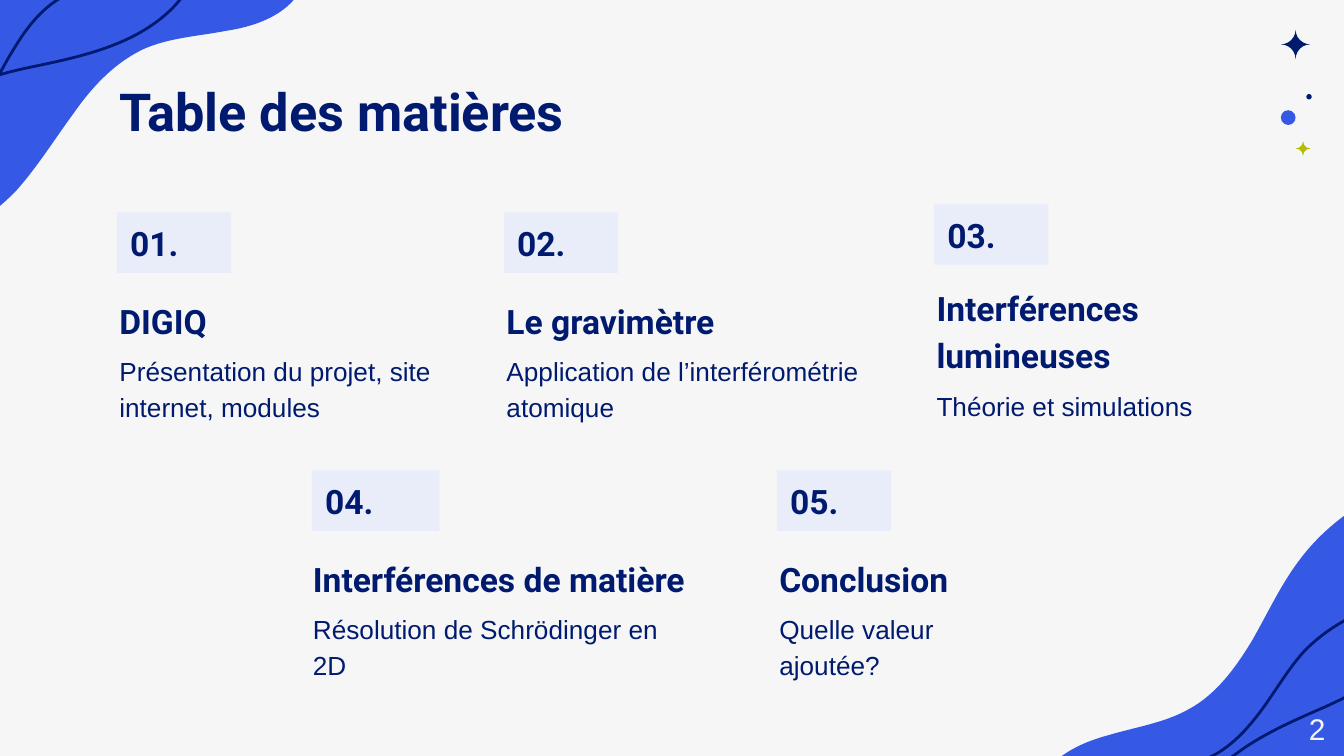
from pptx import Presentation
from pptx.dml.color import RGBColor
from pptx.enum.shapes import MSO_SHAPE
from pptx.enum.text import MSO_ANCHOR, PP_ALIGN
from pptx.oxml.xmlchemy import OxmlElement
from pptx.util import Emu, Pt

SCALE = 9144  # EMU per px: 100 px to the inch
BACKGROUND = RGBColor(0xF6, 0xF6, 0xF6)
BLUE = RGBColor(0x35, 0x59, 0xE5)
NAVY = RGBColor(0x00, 0x1A, 0x70)
LIME = RGBColor(0xB5, 0xBD, 0x00)
PALE = RGBColor(0xDF, 0xE5, 0xFD)
RECTANGLE, ELLIPSE, PLAQUE = MSO_SHAPE.RECTANGLE, MSO_SHAPE.OVAL, MSO_SHAPE.PLAQUE
TOP, BOTTOM = MSO_ANCHOR.TOP, MSO_ANCHOR.BOTTOM
LEFT, RIGHT = PP_ALIGN.LEFT, PP_ALIGN.RIGHT

# Closed curves: a start point, then two control points and an end point each
TOP_BLOB = [
    -96, 192, -55, 190, -16, 171, 12, 142, 28, 124, 41, 103, 55, 84,
    69, 64, 86, 46, 108, 36, 127, 28, 147, 27, 168, 23,
    188, 20, 209, 13, 221, -3, 234, -20, 236, -44, 227, -64,
    219, -83, 202, -98, 184, -108, 165, -118, 144, -123, 123, -126,
    76, -135, 27, -137, -20, -127, -67, -118, -112, -97, -146, -64,
    -180, -31, -201, 12, -210, 58, -214, 82, -214, 105, -212, 129,
    -211, 137, -211, 150, -207, 157, -202, 165, -186, 171, -178, 176,
    -153, 188, -124, 194, -96, 192]
TOP_OUTER_LINE = [
    -96, 130, -66, 126, -38, 109, -19, 84, -7, 70, 0, 53, 10, 37,
    19, 22, 30, 7, 46, -2, 60, -10, 76, -12, 90, -17,
    105, -21, 121, -27, 129, -40, 138, -54, 137, -72, 129, -86,
    122, -101, 108, -111, 93, -117, 78, -123, 62, -125, 46, -126,
    10, -129, -27, -127, -62, -117, -97, -106, -129, -87, -153, -60,
    -176, -33, -189, 2, -192, 37, -193, 55, -192, 73, -189, 91,
    -187, 97, -187, 106, -183, 111, -178, 117, -166, 121, -160, 124,
    -140, 131, -118, 134, -96, 130]
TOP_INNER_LINE = [
    -45, 77, -25, 62, -1, 55, 23, 50, 47, 45, 71, 40, 93, 30,
    115, 20, 136, 4, 145, -19, 154, -42, 148, -71, 127, -84,
    115, -92, 100, -94, 86, -94, 45, -95, 3, -88, -34, -71,
    -70, -53, -102, -23, -119, 14, -135, 52, -134, 97, -112, 132,
    -107, 141, -98, 150, -87, 146, -79, 143, -80, 136, -79, 129,
    -76, 107, -63, 89, -45, 77]
BOTTOM_BLOB = [
    1072, 353, 1032, 360, 994, 382, 969, 414, 954, 433, 944, 455, 932, 476,
    920, 496, 905, 517, 884, 528, 866, 538, 845, 541, 825, 547,
    806, 552, 786, 561, 774, 579, 763, 596, 764, 620, 774, 639,
    784, 658, 802, 671, 822, 679, 842, 687, 863, 690, 884, 692,
    932, 695, 980, 693, 1026, 679, 1072, 665, 1115, 640, 1146, 604,
    1177, 568, 1194, 522, 1197, 476, 1199, 453, 1198, 429, 1193, 406,
    1191, 398, 1190, 385, 1185, 378, 1179, 371, 1164, 366, 1155, 362,
    1129, 352, 1100, 349, 1072, 353]
BOTTOM_OUTER_LINE = [
    1053, 446, 1023, 448, 993, 462, 971, 484, 959, 497, 950, 513, 939, 528,
    928, 543, 915, 557, 899, 564, 884, 571, 869, 571, 853, 574,
    838, 577, 822, 582, 813, 594, 803, 607, 802, 625, 808, 640,
    814, 655, 827, 666, 841, 674, 855, 681, 871, 685, 887, 688,
    923, 694, 960, 696, 995, 689, 1031, 682, 1065, 666, 1091, 640,
    1117, 616, 1133, 582, 1139, 547, 1143, 530, 1143, 512, 1141, 494,
    1141, 488, 1141, 478, 1137, 473, 1134, 467, 1122, 462, 1116, 459,
    1096, 449, 1075, 444, 1053, 446]
BOTTOM_INNER_LINE = [
    1046, 486, 1030, 504, 1008, 516, 986, 526, 963, 536, 940, 546, 921, 560,
    901, 574, 884, 595, 880, 619, 876, 643, 888, 670, 911, 679,
    924, 684, 939, 683, 954, 680, 994, 673, 1033, 658, 1066, 633,
    1098, 608, 1123, 572, 1131, 532, 1139, 492, 1129, 448, 1101, 418,
    1094, 411, 1083, 403, 1073, 410, 1066, 415, 1068, 421, 1069, 428,
    1070, 450, 1061, 470, 1046, 486]

# Each chapter: three texts, then the boxes (left, top, width, height)
# of its number, heading and description
CHAPTERS = [
    ("01.", "DIGIQ", "Présentation du projet, site internet, modules",
     (87, 158, 85, 45), (79, 211, 266, 53), (79, 251, 266, 63)),
    ("02.", "Le gravimètre", "Application de l’interférométrie atomique",
     (375, 158, 85, 45), (367, 211, 266, 53), (367, 251, 312, 63)),
    ("03.", "Interférences lumineuses", "Théorie et simulations",
     (695, 152, 85, 45), (687, 203, 266, 86), (687, 277, 266, 63)),
    ("04.", "Interférences de matière", "Résolution de Schrödinger en 2D",
     (232, 350, 95, 45), (223, 403, 299, 53), (223, 443, 299, 63)),
    ("05.", "Conclusion", "Quelle valeur ajoutée?",
     (578, 350, 85, 45), (570, 403, 266, 53), (570, 443, 185, 63)),
]


def px(length):
    return Emu(round(length * SCALE))


def write_text(shape, text, size=14, font="Arial", color=NAVY, bold=False,
               align=LEFT, anchor=TOP, spacing=None, insets=(10, 10, 10, 10)):
    frame = shape.text_frame
    frame.word_wrap = True
    frame.vertical_anchor = anchor
    (frame.margin_left, frame.margin_top,
     frame.margin_right, frame.margin_bottom) = map(px, insets)
    paragraph = frame.paragraphs[0]
    paragraph.alignment = align
    if spacing:
        paragraph.line_spacing = spacing
    run = paragraph.add_run()
    run.text = text
    run.font.size, run.font.name, run.font.bold = Pt(size), font, bold
    run.font.color.rgb = color


class SlideBuilder:
    def __init__(self, slide):
        self.slide = slide
        slide.background.fill.solid()
        slide.background.fill.fore_color.rgb = BACKGROUND

    def curve(self, numbers, fill=None, line=None):
        points = list(zip(numbers[::2], numbers[1::2]))
        ends = points[::3]
        builder = self.slide.shapes.build_freeform(*ends[0], scale=SCALE)
        builder.add_line_segments(ends[1:], close=True)
        shape = builder.convert_to_shape()
        left, top = (min(values) for values in zip(*ends))
        # Bend each straight segment into a cubic curve
        segments = shape._element.findall(".//{*}lnTo")
        for index, segment in enumerate(segments[:len(ends) - 1]):
            bend = OxmlElement("a:cubicBezTo")
            for x, y in points[3 * index + 1:3 * index + 4]:
                point = OxmlElement("a:pt")
                point.set("x", str(x - left))
                point.set("y", str(y - top))
                bend.append(point)
            segment.getparent().replace(segment, bend)
        self.paint(shape, fill, line)

    def shape(self, kind, left, top, width, height, fill, opacity=None):
        shape = self.slide.shapes.add_shape(kind, px(left), px(top), px(width), px(height))
        self.paint(shape, fill)
        if kind == PLAQUE:
            shape.adjustments[0] = 0.5
        if opacity:
            alpha = OxmlElement("a:alpha")
            alpha.set("val", str(opacity * 1000))
            shape._element.spPr.find(".//{*}srgbClr").append(alpha)
        return shape

    def paint(self, shape, fill=None, line=None):
        shape.shadow.inherit = False
        if fill is None:
            shape.fill.background()
        else:
            shape.fill.solid()
            shape.fill.fore_color.rgb = fill
        if line is None:
            shape.line.fill.background()
        else:
            shape.line.color.rgb = line
            shape.line.width = Pt(1.5)

    def text(self, text, left, top, width, height, **style):
        box = self.slide.shapes.add_textbox(px(left), px(top), px(width), px(height))
        write_text(box, text, **style)

    def chapter(self, number, heading, description, badge_box, heading_box, description_box):
        label = dict(size=18, font="Roboto", bold=True, anchor=BOTTOM)
        badge = self.shape(RECTANGLE, *badge_box, PALE, opacity=56)
        write_text(badge, number, insets=(10, 0, 10, 7), **label)
        self.text(heading, *heading_box, spacing=1.15, **label)
        self.text(description, *description_box, spacing=1.15)


def main():
    presentation = Presentation()
    presentation.slide_width, presentation.slide_height = px(1000), px(562.5)
    builder = SlideBuilder(presentation.slides.add_slide(presentation.slide_layouts[6]))

    # Corner waves
    for blob, *lines in ((TOP_BLOB, TOP_OUTER_LINE, TOP_INNER_LINE),
                         (BOTTOM_BLOB, BOTTOM_OUTER_LINE, BOTTOM_INNER_LINE)):
        builder.curve(blob, fill=BLUE)
        for line in lines:
            builder.curve(line, line=NAVY)

    # Stars and dots
    for kind, left, top, size, color in (
            (PLAQUE, 964, 105, 11, LIME), (ELLIPSE, 953, 82, 11, BLUE),
            (ELLIPSE, 972, 70, 4, NAVY), (PLAQUE, 953, 22, 22, NAVY)):
        builder.shape(kind, left, top, size, size, color)

    # Title, chapters and page number
    builder.text("Table des matières", 79, 49, 843, 63, size=28, font="Roboto", bold=True)
    for chapter in CHAPTERS:
        builder.chapter(*chapter)
    builder.text("2", 936, 519, 60, 43, size=16, color=BACKGROUND, align=RIGHT)

    presentation.save("out.pptx")


if __name__ == "__main__":
    main()
